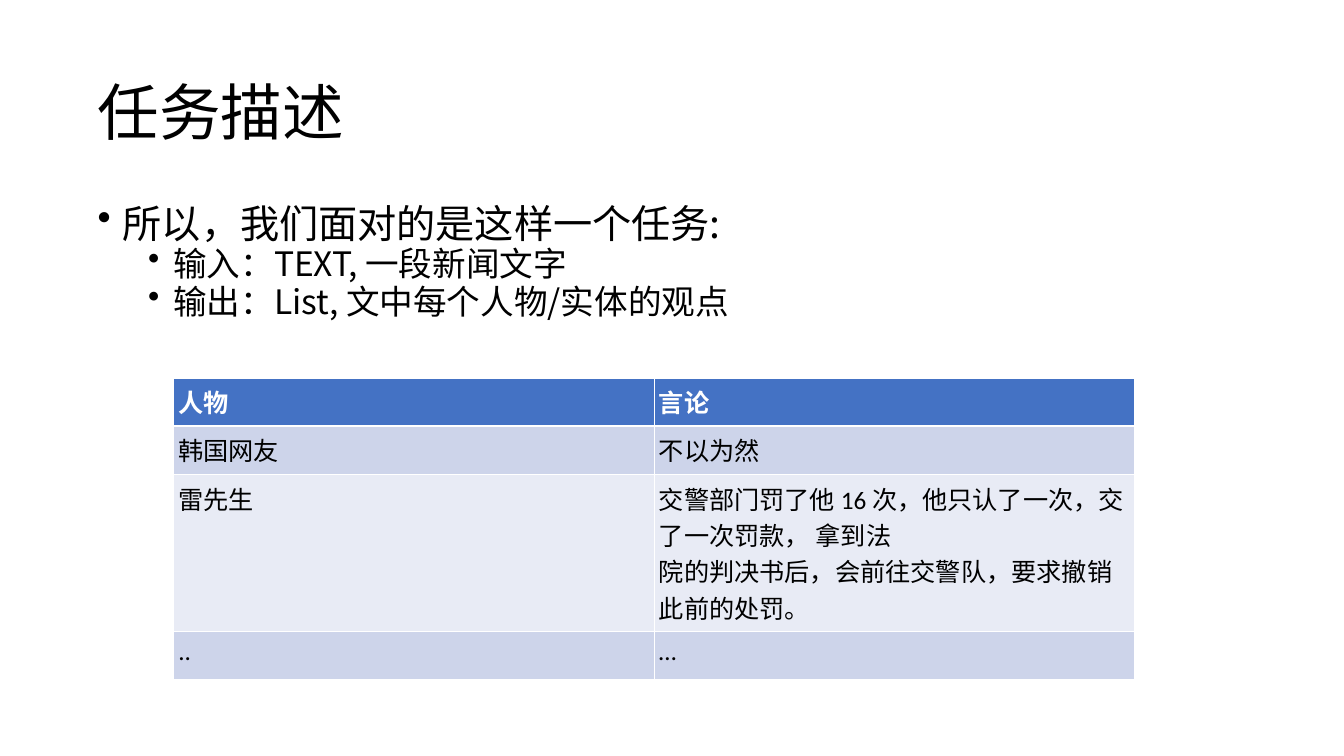
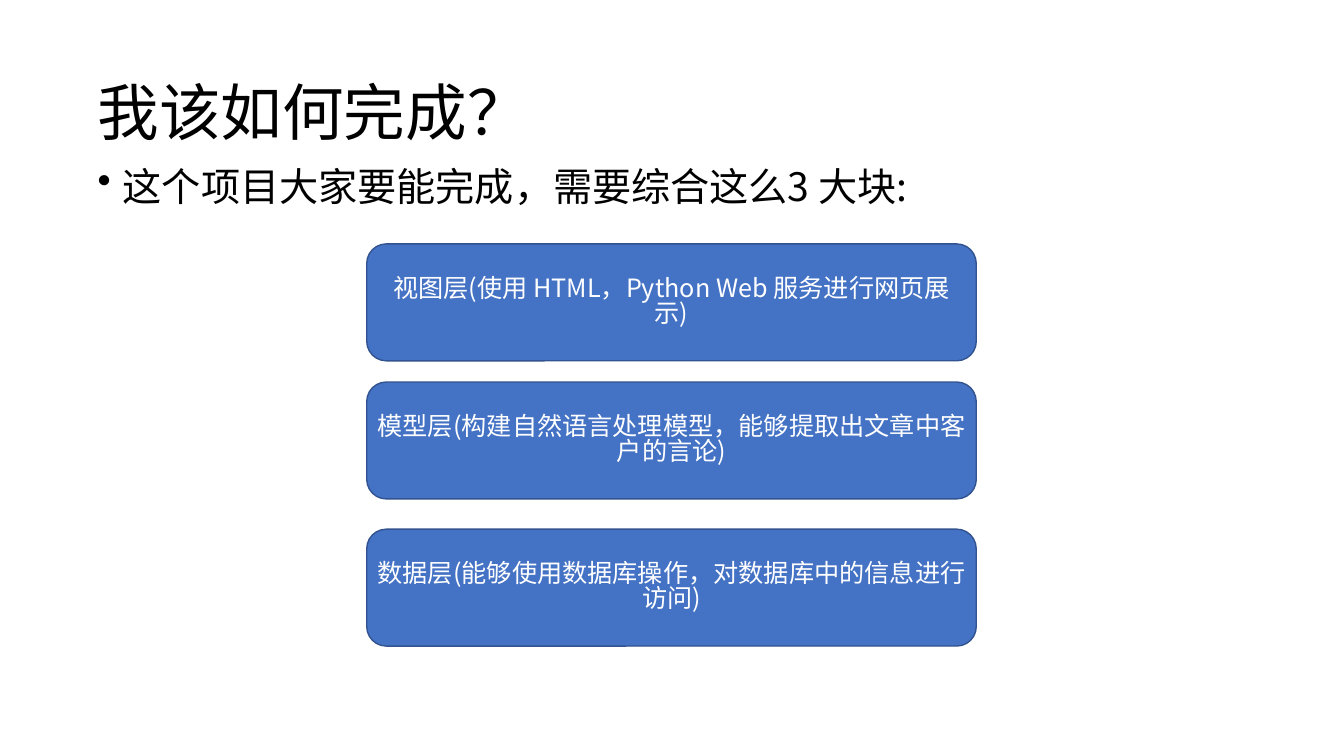
import dataclasses

import lxml.etree
import pptx
import pptx.dml.color
import pptx.enum.shapes
import pptx.enum.text
import pptx.oxml.ns
import pptx.util

EMU_PER_PX = 9144  # 100 px to the inch
SLIDE_SIZE = (1334, 750)
BLANK_LAYOUT = 6


@dataclasses.dataclass(frozen=True)
class Theme:
    ink: str = "000000"
    paper: str = "FFFFFF"
    accent: str = "4472C4"
    accent_edge: str = "32538F"
    bands: tuple = ("CDD4EA", "E8EBF5")
    font: str = "Noto Sans CJK SC"
    table_font: str = "Calibri"
    title_size: int = 44
    bullet_sizes: tuple = (28, 24)
    small_size: int = 18
    tight_spacing: float = 0.76
    box_spacing: float = 0.84
    inset: int = 5
    thin_line: float = 0.45
    header_line: float = 1.47


def px(length):
    return pptx.util.Emu(length * EMU_PER_PX)


def rgb(colour):
    return pptx.dml.color.RGBColor.from_string(colour)


def add_xml(parent, tag, **attributes):
    return lxml.etree.SubElement(parent, pptx.oxml.ns.qn(tag), attributes)


class Deck:
    def __init__(self, theme):
        self.theme = theme
        self.presentation = pptx.Presentation()
        self.presentation.slide_width, self.presentation.slide_height = map(px, SLIDE_SIZE)
        self.slide = None

    def new_slide(self, title):
        layout = self.presentation.slide_layouts[BLANK_LAYOUT]
        self.slide = self.presentation.slides.add_slide(layout)
        frame = self.text_frame(92, 45, 1150, 145)
        frame.vertical_anchor = pptx.enum.text.MSO_ANCHOR.MIDDLE
        paragraph = frame.paragraphs[0]
        paragraph.text = title
        paragraph.line_spacing = self.theme.tight_spacing
        self.set_font(paragraph, self.theme.title_size)

    def set_font(self, paragraph, size, colour=None, latin=None, bold=False):
        """Style a whole paragraph, with the theme font for its Chinese text."""
        font = paragraph.font
        font.size = pptx.util.Pt(size)
        font.bold = bold
        font.name = latin or self.theme.font
        font.color.rgb = rgb(colour or self.theme.ink)
        properties = paragraph._p.get_or_add_pPr().find(pptx.oxml.ns.qn("a:defRPr"))
        add_xml(properties, "a:ea", typeface=self.theme.font)

    def set_insets(self, holder):
        holder.margin_left = holder.margin_right = px(self.theme.inset)
        holder.margin_top = holder.margin_bottom = px(self.theme.inset)

    def text_frame(self, left, top, width, height):
        frame = self.slide.shapes.add_textbox(*map(px, (left, top, width, height))).text_frame
        frame.word_wrap = True
        self.set_insets(frame)
        return frame

    def bullets(self, top, items):
        """Draw a list of (level, text) items."""
        frame = self.text_frame(92, top, 1150, 476)
        for index, (level, text) in enumerate(items):
            paragraph = frame.add_paragraph() if index else frame.paragraphs[0]
            paragraph.text = text
            paragraph.level = level
            properties = paragraph._p.get_or_add_pPr()
            properties.set("marL", str(px(25 + 50 * level)))
            properties.set("indent", str(px(-25)))
            add_xml(properties, "a:buChar", char="•")
            paragraph.line_spacing = self.theme.tight_spacing
            paragraph.space_before = pptx.util.Pt(5 if level else 10)
            self.set_font(paragraph, self.theme.bullet_sizes[level])

    def layer_box(self, left, top, width, height, text):
        box = self.slide.shapes.add_shape(
            pptx.enum.shapes.MSO_SHAPE.ROUNDED_RECTANGLE, *map(px, (left, top, width, height)))
        box.shadow.inherit = False
        box.fill.solid()
        box.fill.fore_color.rgb = rgb(self.theme.accent)
        box.line.color.rgb = rgb(self.theme.accent_edge)
        box.line.width = pptx.util.Pt(1)
        frame = box.text_frame
        frame.word_wrap = True
        frame.vertical_anchor = pptx.enum.text.MSO_ANCHOR.MIDDLE
        self.set_insets(frame)
        paragraph = frame.paragraphs[0]
        paragraph.text = text
        paragraph.alignment = pptx.enum.text.PP_ALIGN.CENTER
        paragraph.line_spacing = self.theme.box_spacing
        self.set_font(paragraph, self.theme.small_size, self.theme.paper)

    def table(self, left, top, column_width, row_heights, rows):
        """Draw a table with a header row and banded body rows."""
        columns = len(rows[0])
        size = (column_width * columns, sum(row_heights))
        table = self.slide.shapes.add_table(
            len(rows), columns, *map(px, (left, top, *size))).table
        table.first_row = table.horz_banding = False
        for column in table.columns:
            column.width = px(column_width)
        for index, (height, texts) in enumerate(zip(row_heights, rows)):
            table.rows[index].height = px(height)
            for column, text in enumerate(texts):
                self.table_cell(table.cell(index, column), index, text)

    def table_cell(self, cell, row, text):
        theme = self.theme
        header = row == 0
        cell.text = text
        self.set_insets(cell)
        self.cell_borders(cell, row)
        cell.fill.solid()
        cell.fill.fore_color.rgb = rgb(theme.accent if header else theme.bands[(row - 1) % 2])
        for paragraph in cell.text_frame.paragraphs:
            self.set_font(paragraph, theme.small_size, theme.paper if header else theme.ink,
                          theme.table_font, header)

    def cell_borders(self, cell, row):
        """Rule the cell in white, with a heavier line under the header."""
        heavy_edge = {0: "B", 1: "T"}.get(row)
        properties = cell._tc.get_or_add_tcPr()
        for edge in "LRTB":
            points = self.theme.header_line if edge == heavy_edge else self.theme.thin_line
            line = add_xml(properties, f"a:ln{edge}", w=str(pptx.util.Pt(points)))
            add_xml(add_xml(line, "a:solidFill"), "a:srgbClr", val=self.theme.paper)


def task_slide(deck):
    deck.new_slide("任务描述")
    deck.bullets(203, [
        (0, "所以，我们面对的是这样一个任务:"),
        (1, "输入：TEXT, 一段新闻文字"),
        (1, "输出：List, 文中每个人物/实体的观点"),
    ])
    deck.table(172, 375, 477, (48, 48, 155, 48), [
        ("人物", "言论"),
        ("韩国网友", "不以为然"),
        ("雷先生", "交警部门罚了他 16 次，他只认了一次，交了一次罚款， 拿到法\n"
                   "院的判决书后，会前往交警队，要求撤销此前的处罚。"),
        ("..", "…"),
    ])


def layers_slide(deck):
    deck.new_slide("我该如何完成？")
    deck.bullets(167, [(0, "这个项目大家要能完成，需要综合这么3 大块:")])
    layers = {
        242: "视图层(使用 HTML，Python Web 服务进行网页展示)",
        379: "模型层(构建自然语言处理模型，能够提取出文章中客户的言论)",
        525: "数据层(能够使用数据库操作，对数据库中的信息进行访问)",
    }
    for top, text in layers.items():
        deck.layer_box(364, top, 605, 116, text)


def main():
    deck = Deck(Theme())
    task_slide(deck)
    layers_slide(deck)
    deck.presentation.save("out.pptx")


if __name__ == "__main__":
    main()
